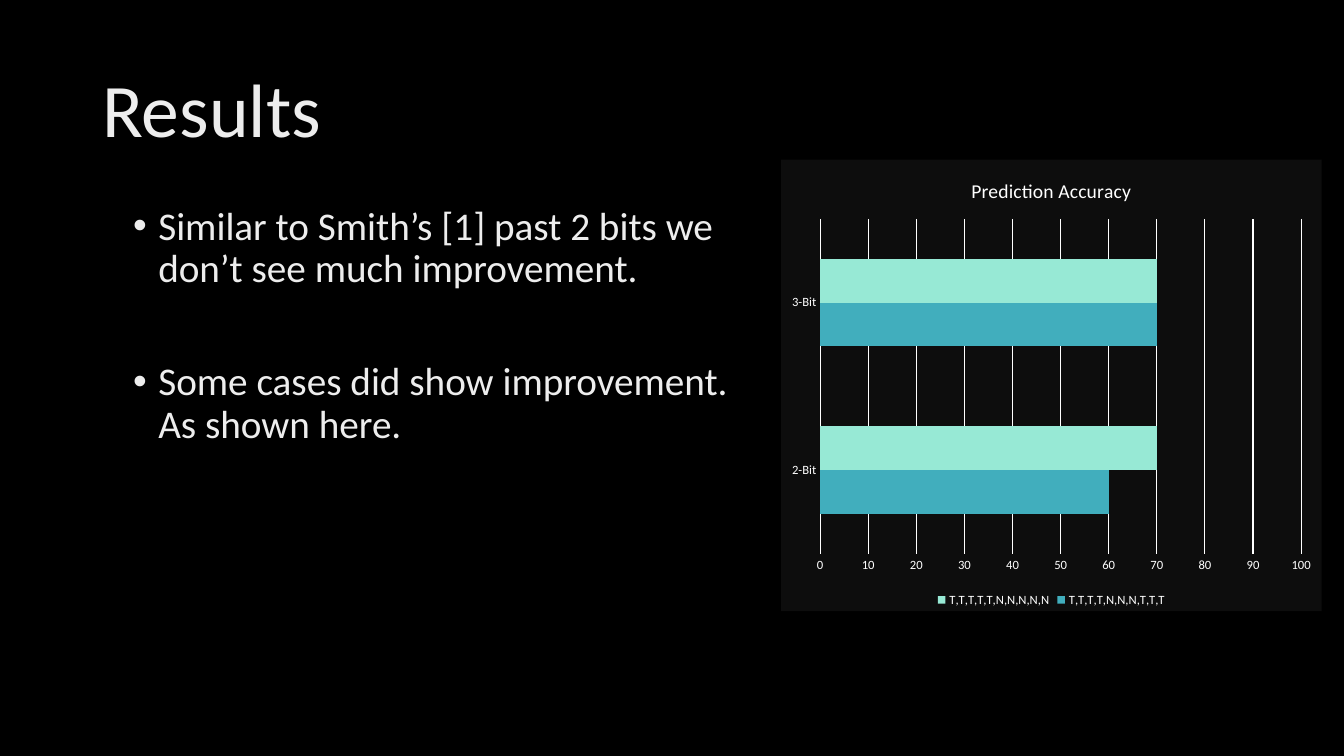
from dataclasses import dataclass

from lxml.etree import SubElement
from pptx import Presentation
from pptx.chart.data import CategoryChartData as ChartData
from pptx.dml.color import RGBColor as Rgb
from pptx.enum.chart import XL_CHART_TYPE as ChartType
from pptx.enum.chart import XL_LEGEND_POSITION as LegendPos
from pptx.enum.chart import XL_TICK_MARK as Tick
from pptx.enum.text import MSO_ANCHOR as Anchor
from pptx.oxml import parse_xml
from pptx.oxml.ns import nsdecls, qn
from pptx.util import Pt


@dataclass(frozen=True)
class Theme:
    face: str = "Calibri"
    back: str = "000000"
    panel: str = "0D0D0D"
    text: str = "EDEDED"
    white: str = "FFFFFF"
    teal: str = "41AEBD"
    mint: str = "97E9D5"
    head: int = 54
    body: int = 28
    title: int = 14
    base: int = 10
    label: int = 9
    rule: float = 0.75


THEME = Theme()
POINTS = (
    "Similar to Smith’s [1] past 2 bits we don’t see much improvement.",
    "Some cases did show improvement. As shown here.",
)
BITS = ("2-Bit", "3-Bit")
SERIES = (
    ("T,T,T,T,N,N,N,T,T,T", (60, 70), THEME.teal),
    ("T,T,T,T,T,N,N,N,N,N", (70, 70), THEME.mint),
)


def color(code):
    return Rgb.from_string(code)


def set_font(font, size, code):
    font.name = THEME.face
    font.size = Pt(size)
    font.bold = False
    font.color.rgb = color(code)


def add_text(slide, box, lines, size, anchor=Anchor.TOP):
    frame = slide.shapes.add_textbox(*map(Pt, box)).text_frame
    frame.word_wrap = True
    frame.vertical_anchor = anchor
    frame.text = "\n".join(lines)
    for para in frame.paragraphs:
        para.line_spacing = 0.9
        set_font(para.font, size, THEME.text)
    return frame.paragraphs


def add_bullet(para, indent=18):
    props = para._p.get_or_add_pPr()
    props.set("marL", str(Pt(indent)))
    props.set("indent", str(-Pt(indent)))
    SubElement(props, qn("a:buFont")).set("typeface", "Arial")
    SubElement(props, qn("a:buChar")).set("char", "•")


def fill_panel(chart, code):
    """Fill the chart area and leave it without an outline."""
    panel = parse_xml(
        f'<c:spPr {nsdecls("c", "a")}><a:solidFill><a:srgbClr val="{code}"/>'
        "</a:solidFill><a:ln><a:noFill/></a:ln></c:spPr>"
    )
    chart._chartSpace.find(qn("c:chart")).addnext(panel)


def set_line(line):
    line.color.rgb = color(THEME.white)
    line.width = Pt(THEME.rule)


def style_axes(chart):
    bits, scale = chart.category_axis, chart.value_axis
    for axis in (bits, scale):
        axis.major_tick_mark = axis.minor_tick_mark = Tick.NONE
        set_font(axis.tick_labels.font, THEME.label, THEME.white)
    set_line(bits.format.line)
    scale.format.line.fill.background()
    scale.minimum_scale, scale.maximum_scale = 0, 100
    scale.major_unit = 10
    scale.has_major_gridlines = True
    set_line(scale.major_gridlines.format.line)


def add_bars(slide, box, title):
    data = ChartData()
    data.categories = BITS
    for name, values, _ in SERIES:
        data.add_series(name, values)
    kind = ChartType.BAR_CLUSTERED
    chart = slide.shapes.add_chart(kind, *map(Pt, box), data).chart
    set_font(chart.font, THEME.base, THEME.white)
    fill_panel(chart, THEME.panel)

    chart.has_title = True
    frame = chart.chart_title.text_frame
    frame.text = title
    set_font(frame.paragraphs[0].font, THEME.title, THEME.white)
    chart.chart_title.include_in_layout = False

    chart.has_legend = True
    chart.legend.position = LegendPos.BOTTOM
    chart.legend.include_in_layout = False
    set_font(chart.legend.font, THEME.label, THEME.white)

    style_axes(chart)
    plot = chart.plots[0]
    plot.vary_by_categories = False
    plot.gap_width = 182
    plot.overlap = 0
    for bars, (_, _, code) in zip(plot.series, SERIES):
        bars.format.fill.solid()
        bars.format.fill.fore_color.rgb = color(code)


def main():
    deck = Presentation()
    deck.slide_width, deck.slide_height = Pt(960), Pt(540)
    slide = deck.slides.add_slide(deck.slide_layouts[6])
    slide.background.fill.solid()
    slide.background.fill.fore_color.rgb = color(THEME.back)

    add_text(slide, (66, 28.8, 828, 104.4), ["Results"], THEME.head, Anchor.MIDDLE)
    paras = add_text(slide, (88, 144, 460, 342.7), POINTS, THEME.body)
    for para, gap in zip(paras, (10, 50.6)):
        para.space_before = Pt(gap)
        add_bullet(para)
    add_bars(slide, (558, 114, 386, 322.6), "Prediction Accuracy")
    deck.save("out.pptx")


if __name__ == "__main__":
    main()
